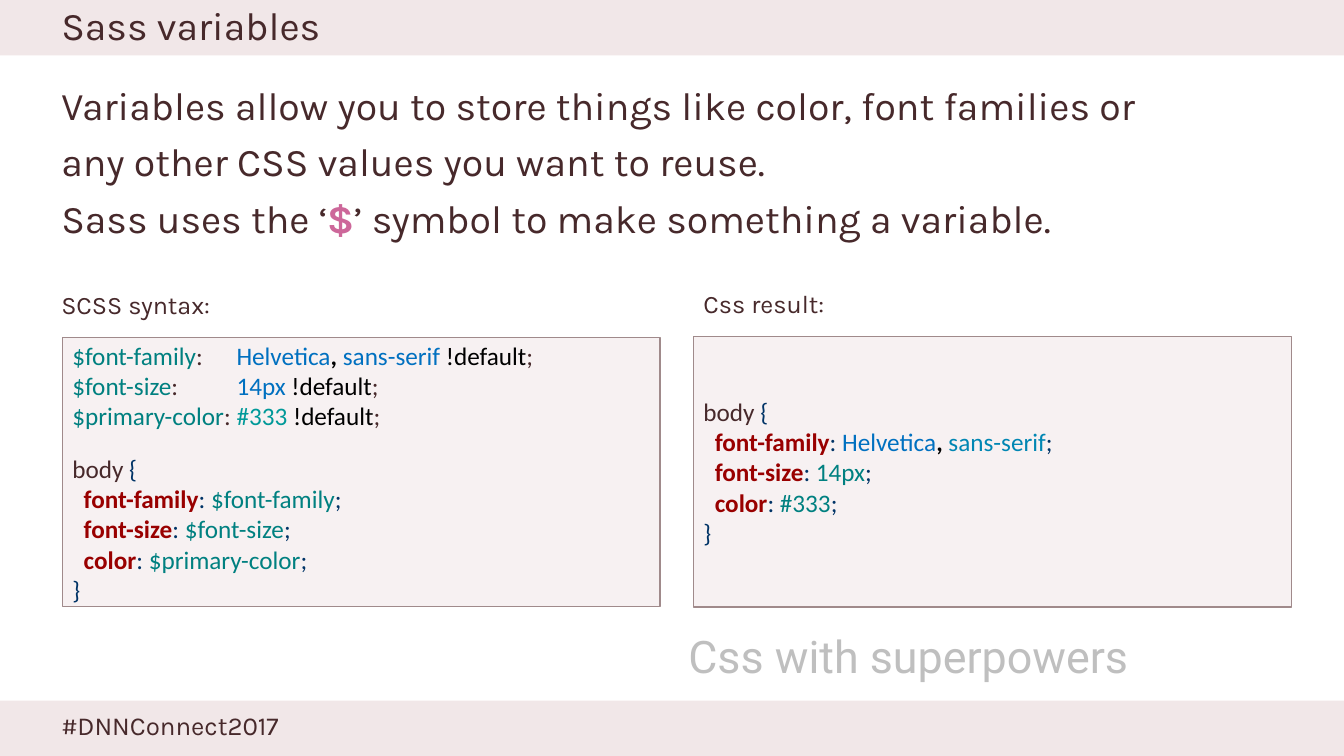
from dataclasses import dataclass

from lxml import etree
from pptx import Presentation
from pptx.dml.color import RGBColor
from pptx.enum.shapes import MSO_SHAPE
from pptx.enum.text import MSO_ANCHOR, PP_ALIGN
from pptx.oxml.ns import qn
from pptx.util import Pt

RECT = MSO_SHAPE.RECTANGLE
TOP, MIDDLE = MSO_ANCHOR.TOP, MSO_ANCHOR.MIDDLE
LEFT = PP_ALIGN.LEFT


@dataclass(frozen=True)
class Theme:
    band: str = "F1E7E8"
    panel: str = "F7F1F2"
    border: str = "A08A8B"
    ink: str = "47292B"
    accent: str = "CD679A"
    tagline: str = "BFBFBF"
    black: str = "000000"
    teal: str = "008080"
    hex_value: str = "009999"
    blue: str = "0070C0"
    sky: str = "0086B3"
    navy: str = "003366"
    prop: str = "990000"
    font: str = "Karla"
    code_font: str = "Calibri"
    tag_font: str = "Roboto"
    big: float = 28
    tag_size: float = 32
    footer: float = 18.5
    small: float = 18


T = Theme()
W, H, BAND_H = 960, 540, 39.6
MARGIN = 36.7
CODE_W = 427
VALUE_TAB = 117.3


def rgb(color):
    return RGBColor.from_string(color)


def add_rect(s, box, fill, line=None):
    sp = s.shapes.add_shape(RECT, *map(Pt, box))
    sp.shadow.inherit = False
    sp.fill.solid()
    sp.fill.fore_color.rgb = rgb(fill)
    if line:
        sp.line.color.rgb = rgb(line)
        sp.line.width = Pt(1)
    else:
        sp.line.fill.background()
    return sp


def write(tf, lines, size=T.small, font=T.font, color=T.ink, anchor=TOP,
          spacing=None, before=0, gaps=None, tab=None):
    """Each line is a list of runs: (text, color, bold), the last two optional."""
    tf.word_wrap = True
    tf.vertical_anchor = anchor
    for i, runs in enumerate(lines):
        p = tf.paragraphs[0] if i == 0 else tf.add_paragraph()
        p.alignment = LEFT
        if spacing:
            p.line_spacing = spacing
        p.space_before = Pt((gaps or {}).get(i, before if i else 0))
        if tab and any("\t" in run[0] for run in runs):
            tabs = etree.SubElement(p._p.get_or_add_pPr(), qn("a:tabLst"))
            etree.SubElement(tabs, qn("a:tab"), pos=str(Pt(tab)), algn="l")
        for text, *style in runs:
            r = p.add_run()
            r.text = text
            r.font.name = font
            r.font.size = Pt(size)
            r.font.color.rgb = rgb(style[0] if style else color)
            r.font.bold = len(style) > 1 and style[1]


def add_text(s, box, lines, **fmt):
    write(s.shapes.add_textbox(*map(Pt, box)).text_frame, lines, **fmt)


def add_band(s, top, text, size, spacing):
    add_rect(s, (0, top, W, BAND_H), T.band)
    add_text(s, (MARGIN, top, W - MARGIN, BAND_H), [[(text,)]],
             size=size, anchor=MIDDLE, spacing=spacing)


def add_code_panel(s, box, label, label_left, lines, **fmt):
    left, top, width, height = box
    add_text(s, (label_left, top - 38.2, width, 29), [[(label,)]])
    tf = add_rect(s, box, T.panel, T.border).text_frame
    write(tf, lines, font=T.code_font, anchor=MIDDLE, **fmt)


def variable(name, *value):
    return [(name, T.teal), (":\t",), *value, (" !default", T.black), (";",)]


def rule(**properties):
    """CSS body rule; each property is a list of value runs."""
    body = [[("  " + name.replace("_", "-"), T.prop, True), (": ", T.navy),
             *value, (";", T.navy)] for name, value in properties.items()]
    return [[("body",), (" {", T.navy)], *body, [("}", T.navy)]]


def build_slide(s):
    add_band(s, H - BAND_H, "#DNNConnect2017", T.footer, 0.8)
    add_band(s, 0, "Sass variables", T.big, 0.9)
    add_text(s, (MARGIN, 58.3, 894, 126), [
        [("Variables allow you to store things like color, font families or",)],
        [("any other CSS values you want to reuse.",)],
        [("Sass uses the ‘",), ("$", T.accent, True),
         ("’ symbol to make something a variable.",)],
    ], size=T.big, spacing=0.9, before=10)
    add_text(s, (484.6, 445.7, 350, 46), [[("Css with superpowers",)]],
             size=T.tag_size, font=T.tag_font, color=T.tagline)

    helvetica = [("Helvetica", T.blue), (", ", T.black, True)]
    scss = [
        variable("$font-family", *helvetica, ("sans-serif", T.blue)),
        variable("$font-size", ("14px", T.blue)),
        variable("$primary-color", ("#333", T.hex_value)),
        *rule(font_family=[("$font-family", T.teal)],
              font_size=[("$font-size", T.teal)],
              color=[("$primary-color", T.teal)]),
    ]
    css = rule(font_family=[*helvetica, ("sans-serif", T.sky)],
               font_size=[("14px", T.teal)], color=[("#333", T.teal)])
    add_code_panel(s, (44.6, 241.2, CODE_W, 192.2), "SCSS syntax:", MARGIN,
                   scss, gaps={3: 16}, tab=VALUE_TAB)
    add_code_panel(s, (495.4, 240.5, CODE_W, 193), "Css result:", 495.4, css)


def main():
    prs = Presentation()
    prs.slide_width, prs.slide_height = Pt(W), Pt(H)
    build_slide(prs.slides.add_slide(prs.slide_layouts[6]))
    prs.save("out.pptx")


if __name__ == "__main__":
    main()
